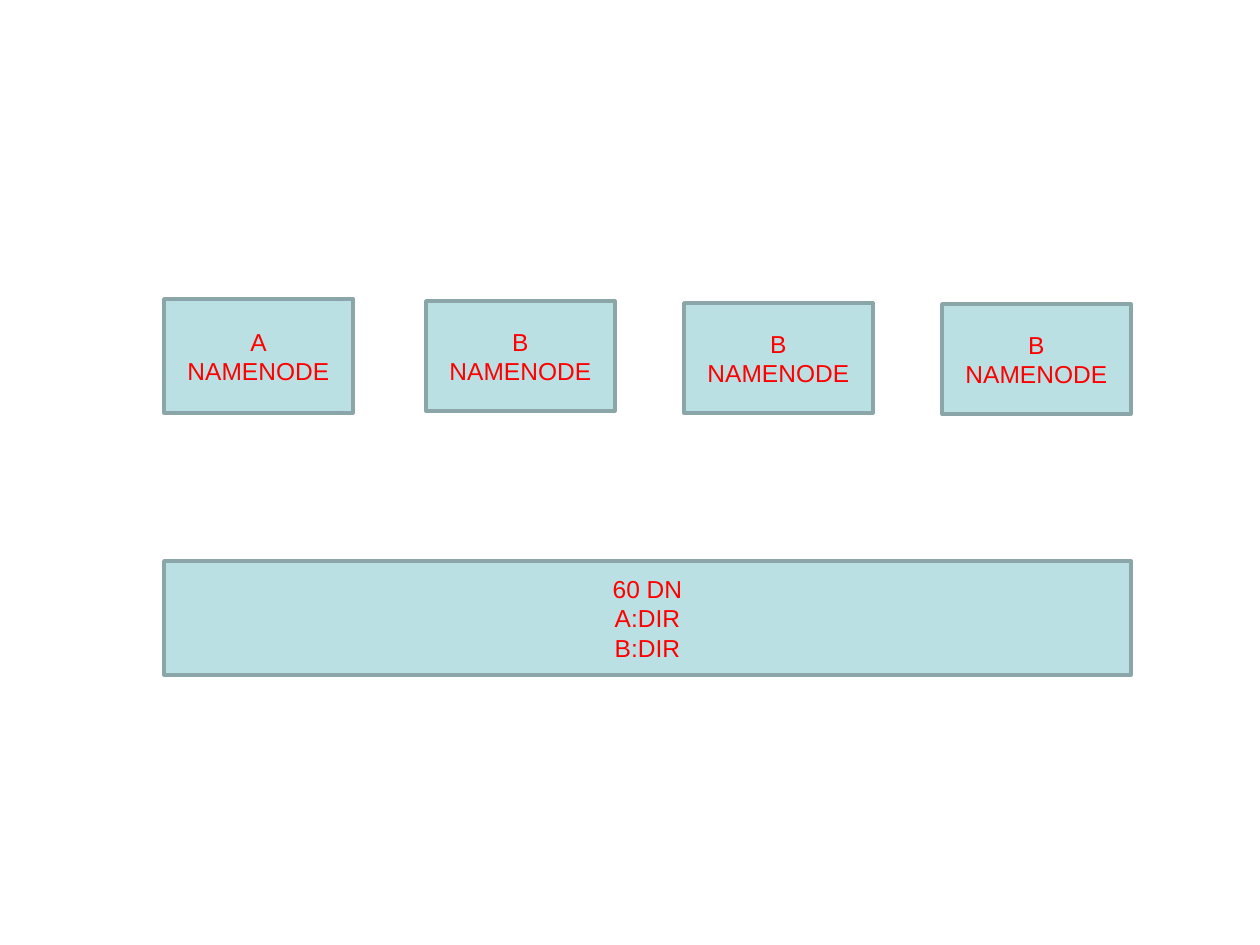
"""Build a slide of four name nodes above a shared pool of data nodes."""
from dataclasses import dataclass

from pptx import Presentation
from pptx import util as u
from pptx.dml.color import RGBColor
from pptx.enum import shapes, text

PX = u.Inches(1) // 126


@dataclass(frozen=True)
class Theme:
    fill: RGBColor = RGBColor(0xBB, 0xE0, 0xE3)
    line: RGBColor = RGBColor(0x8A, 0xA6, 0xA8)
    ink: RGBColor = RGBColor(0xFF, 0, 0)
    font: str = "Arial"
    size: int = 14
    line_width: int = 2


@dataclass(frozen=True)
class Box:
    left: int
    top: int
    width: int
    height: int
    lines: tuple[str, ...]


THEME = Theme()
NODE_WIDTH = 189
NODES = [
    Box(left, top, NODE_WIDTH, height, (name, "NAMENODE"))
    for left, top, height, name in (
        (164, 299, 114, "A"),
        (426, 301, 110, "B"),
        (684, 303, 110, "B"),
        (942, 304, 110, "B"),
    )
]
DATA_POOL = Box(164, 561, 967, 114, ("60 DN", "A:DIR", "B:DIR"))


def add_box(s, box: Box) -> None:
    sp = s.shapes.add_shape(
        shapes.MSO_SHAPE.RECTANGLE,
        *(v * PX for v in (box.left, box.top, box.width, box.height)),
    )
    sp.shadow.inherit = False
    sp.fill.solid()
    sp.fill.fore_color.rgb = THEME.fill
    sp.line.color.rgb = THEME.line
    sp.line.width = u.Pt(THEME.line_width)
    tf = sp.text_frame
    tf.word_wrap = True
    tf.vertical_anchor = text.MSO_ANCHOR.MIDDLE
    for i, line in enumerate(box.lines):
        p = tf.add_paragraph() if i else tf.paragraphs[0]
        p.alignment = text.PP_ALIGN.CENTER
        r = p.add_run()
        r.text = line
        r.font.name = THEME.font
        r.font.size = u.Pt(THEME.size)
        r.font.color.rgb = THEME.ink


def main() -> None:
    prs = Presentation()
    prs.slide_width, prs.slide_height = u.Inches(10), u.Inches(7.5)
    s = prs.slides.add_slide(prs.slide_layouts[6])
    for box in (*NODES, DATA_POOL):
        add_box(s, box)
    prs.save("out.pptx")


main()
